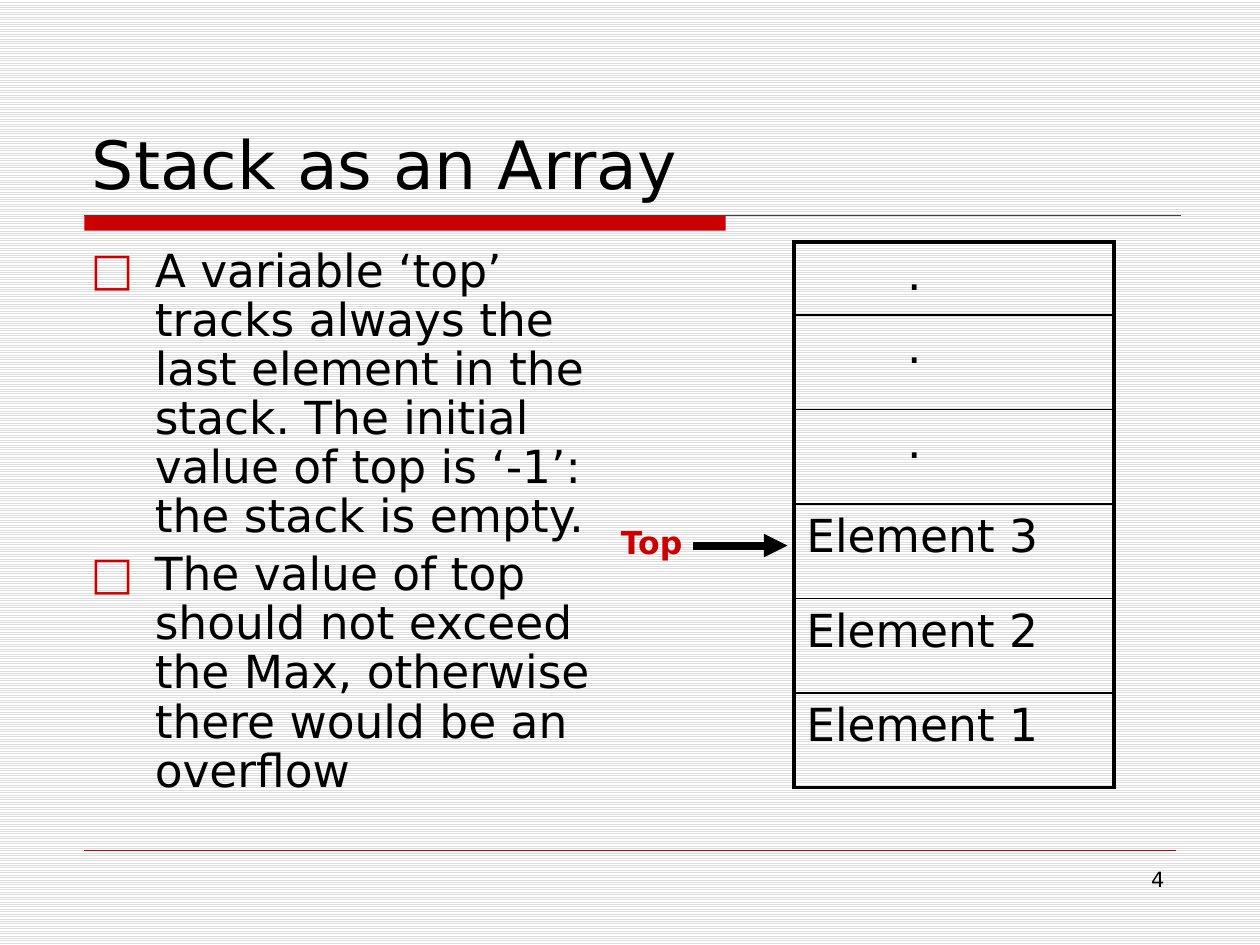
from lxml import etree
from pptx import Presentation
from pptx.dml.color import RGBColor
from pptx.enum.dml import MSO_PATTERN
from pptx.enum.shapes import MSO_CONNECTOR, MSO_SHAPE
from pptx.enum.text import MSO_ANCHOR, PP_ALIGN
from pptx.oxml.ns import qn
from pptx.util import Inches, Pt

TITLE = "Stack as an Array"
POINTS = [
    "A variable ‘top’ tracks always the last element in the stack. "
    "The initial value of top is ‘-1’: the stack is empty.",
    "The value of top should not exceed the Max, otherwise there would be an overflow",
]
CELLS = [".", ".", ".", "Element 3", "Element 2", "Element 1"]
POINTER = "Top"
PAGE_NUMBER = "4"

COLORS = {"red": "CC0000", "black": "000000", "rule": "404040",
          "stripe": "DDDDDD", "white": "FFFFFF"}
FONT = "DejaVu Sans"
TOP_ROW, ROW = 0.58, 0.75


def color(name):
    return RGBColor.from_string(COLORS[name])


def write(frame, lines, size, ink="black", bold=False, align=PP_ALIGN.LEFT,
          anchor=MSO_ANCHOR.TOP, spacing=1.0, gap=0, bullet=None):
    frame.word_wrap = True
    frame.vertical_anchor = anchor
    for index, line in enumerate(lines):
        para = frame.add_paragraph() if index else frame.paragraphs[0]
        para.alignment = align
        para.line_spacing = spacing
        para.space_before = Pt(gap if index else 0)
        span = para.add_run()
        span.text = line
        span.font.name, span.font.size, span.font.bold = FONT, Pt(size), bold
        span.font.color.rgb = color(ink)
        if bullet:
            add_bullet(para, bullet)


def add_bullet(para, mark):
    props = para._p.get_or_add_pPr()
    props.set("marL", str(Inches(0.51)))
    props.set("indent", str(-Inches(0.51)))
    paint = etree.SubElement(props, qn("a:buClr"))
    etree.SubElement(paint, qn("a:srgbClr"), val=COLORS["red"])
    etree.SubElement(props, qn("a:buFont"), typeface=FONT)
    etree.SubElement(props, qn("a:buChar"), char=mark)


def add_text(page, place, lines, size, **style):
    box = page.shapes.add_textbox(*map(Inches, place))
    write(box.text_frame, lines, size, **style)


def add_line(page, start, end, ink, width, arrow=False):
    line = page.shapes.add_connector(MSO_CONNECTOR.STRAIGHT, *map(Inches, start + end))
    line.line.color.rgb = color(ink)
    line.line.width = Pt(width)
    if arrow:
        etree.SubElement(line.line._get_or_add_ln(), qn("a:tailEnd"), type="triangle")
    etree.SubElement(line._element.spPr, qn("a:effectLst"))


def set_borders(cell, widths):
    props = cell._tc.get_or_add_tcPr()
    for index, (side, width) in enumerate(widths.items()):
        border = etree.Element(qn("a:ln" + side), w=str(Pt(width)))
        fill = etree.SubElement(border, qn("a:solidFill"))
        etree.SubElement(fill, qn("a:srgbClr"), val=COLORS["black"])
        props.insert(index, border)


def add_stack(page):
    heights = [TOP_ROW] + [ROW] * (len(CELLS) - 1)
    frame = page.shapes.add_table(len(CELLS), 1, Inches(6.3), Inches(1.92),
                                  Inches(2.54), Inches(sum(heights)))
    table = frame.table
    table.first_row = table.horz_banding = False
    table.columns[0].width = Inches(2.54)
    for index, (text, height) in enumerate(zip(CELLS, heights)):
        table.rows[index].height = Inches(height)
        cell = table.cell(index, 0)
        cell.fill.background()
        cell.margin_left = Inches(0.9 if text == "." else 0.1)
        write(cell.text_frame, [text], 26)
        set_borders(cell, {"L": 2.25, "R": 2.25,
                           "T": 1 if index else 2.25,
                           "B": 2.25 if index == len(CELLS) - 1 else 1})


def main():
    deck = Presentation()
    deck.slide_width, deck.slide_height = Inches(10), Inches(7.5)
    page = deck.slides.add_slide(deck.slide_layouts[5])
    backdrop = page.background.fill
    backdrop.patterned()
    backdrop.pattern = MSO_PATTERN.LIGHT_HORIZONTAL
    backdrop.fore_color.rgb = color("stripe")
    backdrop.back_color.rgb = color("white")

    title = page.shapes.title
    title.left, title.top, title.width, title.height = map(Inches, (0.63, 0.33, 8.75, 1.33))
    write(title.text_frame, [TITLE], 38, anchor=MSO_ANCHOR.BOTTOM)

    bar = page.shapes.add_shape(MSO_SHAPE.RECTANGLE, *map(Inches, (0.67, 1.71, 5.09, 0.12)))
    bar.shadow.inherit = False
    bar.fill.solid()
    bar.fill.fore_color.rgb = color("red")
    bar.line.fill.background()
    add_line(page, (0.67, 1.71), (9.37, 1.71), "rule", 0.75)
    add_line(page, (0.67, 6.75), (9.33, 6.75), "red", 0.25)

    add_text(page, (0.62, 1.92, 4.29, 4.67), POINTS, 26, spacing=0.9, gap=5, bullet="□")
    add_stack(page)
    add_line(page, (5.5, 4.33), (6.25, 4.33), "black", 4.5, arrow=True)
    add_text(page, (4.83, 4.1, 0.83, 0.4), [POINTER], 18, ink="red", bold=True)
    add_text(page, (7.17, 6.83, 2.17, 0.52), [PAGE_NUMBER], 12, align=PP_ALIGN.RIGHT)
    deck.save("out.pptx")


if __name__ == "__main__":
    main()
